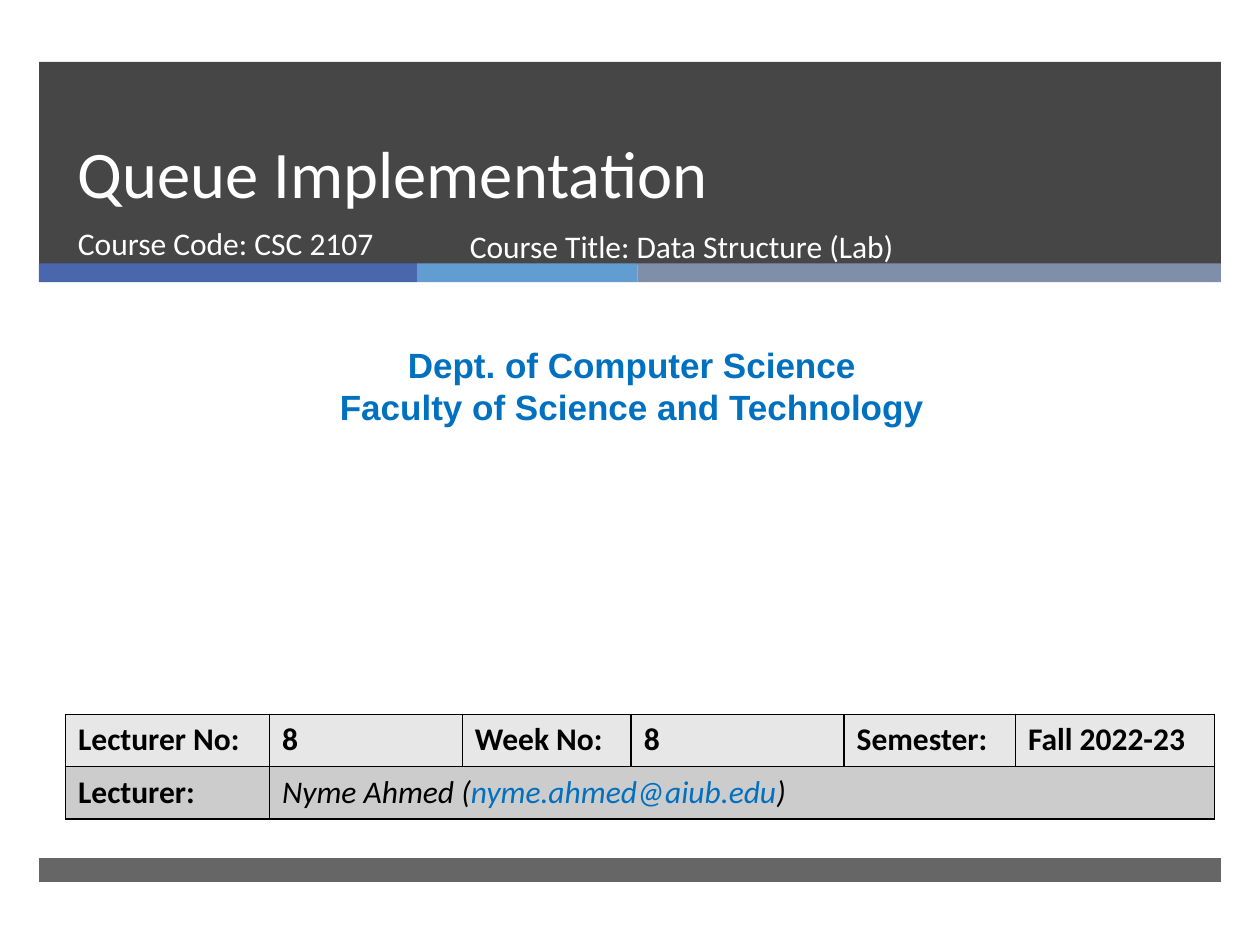
from lxml import etree
from pptx import Presentation
from pptx.dml.color import RGBColor
from pptx.enum.shapes import MSO_SHAPE as Shape
from pptx.enum.text import MSO_ANCHOR as Anchor, PP_ALIGN as Align
from pptx.oxml import parse_xml
from pptx.oxml.ns import nsdecls, qn
from pptx.util import Inches, Pt

WHITE, BLACK, DARK, LINK = "FFFFFF", "000000", "262626", "0070C0"


def color(value):
    return RGBColor.from_string(value)


def set_font(font, size, fill, name="Calibri", bold=False, italic=False):
    font.size, font.name, font.bold, font.italic = Pt(size), name, bold, italic
    font.color.rgb = color(fill)


def add_bar(slide, box, fill, opacity=100):
    shape = slide.shapes.add_shape(Shape.RECTANGLE, *map(Inches, box))
    shape.shadow.inherit = False
    shape.line.fill.background()
    shape.fill.solid()
    shape.fill.fore_color.rgb = color(fill)
    if opacity < 100:
        fill_color = shape._element.spPr.find(qn("a:solidFill"))[0]
        etree.SubElement(fill_color, qn("a:alpha")).set("val", str(opacity * 1000))


def add_text(slide, box, lines, size, fill, name="Calibri", bold=False,
             align=Align.LEFT, anchor=Anchor.TOP, spacing=None):
    frame = slide.shapes.add_textbox(*map(Inches, box)).text_frame
    frame.word_wrap = True
    frame.vertical_anchor = anchor
    frame.text = "\n".join(lines)
    for paragraph in frame.paragraphs:
        paragraph.alignment = align
        if spacing:
            paragraph.line_spacing = Pt(spacing)
        set_font(paragraph.font, size, fill, name, bold)


def add_header(slide, left, top, width, height):
    add_bar(slide, (left, top, width, height), DARK, 85)
    # Three-colour strip along the bottom edge
    strip_left = left
    for part, fill in ((3, "4A66AC"), (1.75, "629DD1"), (4.63, "7F8FA9")):
        add_bar(slide, (strip_left, top + 1.6, part, 0.15), fill)
        strip_left += part
    # Title and course details
    text_left = left + 0.21
    add_text(slide, (text_left, top + 0.05, 8.54, 1.19), ["Queue Implementation"],
             38, WHITE, anchor=Anchor.BOTTOM, spacing=46)
    add_text(slide, (text_left, top + 1.24, 3.05, 0.53),
             ["Course Code: CSC 2107"], 18, WHITE)
    add_text(slide, (left + 3.32, top + 1.26, 4.55, 0.53),
             ["Course Title: Data Structure (Lab)"], 18, WHITE)


def style_cell(cell, fill):
    cell.fill.solid()
    cell.fill.fore_color.rgb = color(fill)
    properties = cell._tc.get_or_add_tcPr()
    for index, side in enumerate("LRTB"):
        properties.insert(index, parse_xml(
            f'<a:ln{side} {nsdecls("a")} w="12700"><a:solidFill>'
            f'<a:srgbClr val="{BLACK}"/></a:solidFill></a:ln{side}>'))


def add_lecture_table(slide, left, top, width, height):
    column_widths = (1.62, 1.53, 1.34, 1.69, 1.36, 1.58)
    labels = ("Lecturer No:", "8", "Week No:", "8", "Semester:", "Fall 2022-23")
    table = slide.shapes.add_table(
        2, len(labels), *map(Inches, (left, top, width, height))).table
    for column, column_width in zip(table.columns, column_widths):
        column.width = Inches(column_width)
    for row, fill in zip(table.rows, ("E7E7E7", "CCCCCC")):
        for cell in row.cells:
            style_cell(cell, fill)

    # Bold labels and values
    texts = [(table.cell(0, index), label) for index, label in enumerate(labels)]
    for cell, text in texts + [(table.cell(1, 0), "Lecturer:")]:
        cell.text = text
        set_font(cell.text_frame.paragraphs[0].font, 18, BLACK, bold=True)

    # Lecturer's name and address across the rest of the row
    lecturer = table.cell(1, 1)
    lecturer.merge(table.cell(1, len(labels) - 1))
    paragraph = lecturer.text_frame.paragraphs[0]
    for text, fill in (("Nyme Ahmed (", BLACK), ("nyme.ahmed@aiub.edu", LINK),
                       (")", BLACK)):
        run = paragraph.add_run()
        run.text = text
        set_font(run.font, 18, fill, italic=True)


def main():
    presentation = Presentation()
    presentation.slide_width, presentation.slide_height = Inches(10), Inches(7.5)
    slide = presentation.slides.add_slide(presentation.slide_layouts[6])

    add_header(slide, 0.31, 0.49, 9.38, 1.61)
    # Department
    add_text(slide, (0.08, 2.68, 9.87, 0.77),
             ["Dept. of Computer Science", "Faculty of Science and Technology"],
             20, LINK, "Arial", bold=True, align=Align.CENTER)
    add_lecture_table(slide, 0.52, 5.67, 9.12, 0.83)
    # Footer bar
    add_bar(slide, (0.31, 6.81, 9.38, 0.19), DARK, 70)

    presentation.save("out.pptx")


if __name__ == "__main__":
    main()
